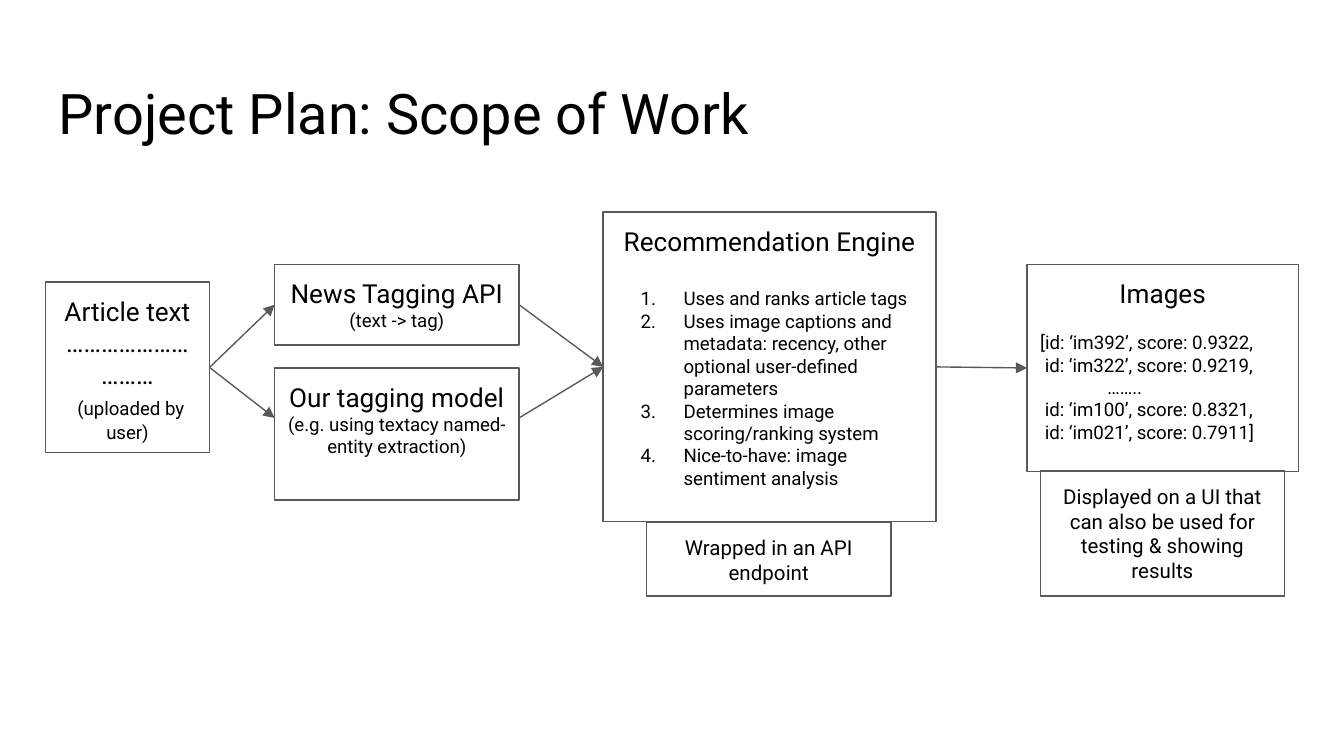
from lxml import etree
from pptx import Presentation
from pptx import util as u
from pptx.dml.color import RGBColor
from pptx.enum import shapes, text
from pptx.oxml import ns

FONT = "Roboto"
COLORS = {"text": "000000", "outline": "595959"}
LEFT_SITE, RIGHT_SITE = 1, 3
CENTER, LEFT = text.PP_ALIGN.CENTER, text.PP_ALIGN.LEFT


def color(name):
    return RGBColor.from_string(COLORS[name])


def prepare_frame(shape):
    frame = shape.text_frame
    frame.word_wrap = True
    frame.vertical_anchor = text.MSO_ANCHOR.TOP
    frame.margin_left = frame.margin_right = u.Cm(0.25)
    frame.margin_top = frame.margin_bottom = u.Cm(0.25)
    return frame


def add_runs(paragraph, runs):
    for words, size in runs:
        run = paragraph.add_run()
        run.text = words
        run.font.name = FONT
        run.font.size = u.Pt(size)
        run.font.color.rgb = color("text")


def add_paragraph(frame, runs, align=CENTER, before=0, numbered=False):
    first = frame.paragraphs[0]
    paragraph = frame.add_paragraph() if first.runs else first
    paragraph.alignment = align
    if before:
        paragraph.space_before = u.Pt(before)
    if numbered:
        number_paragraph(paragraph)
    add_runs(paragraph, runs)


def number_paragraph(paragraph):
    props = paragraph._p.get_or_add_pPr()
    props.set("marL", str(u.Cm(1.27)))
    props.set("indent", str(u.Cm(-0.81)))
    bullet_color = etree.SubElement(props, ns.qn("a:buClr"))
    etree.SubElement(bullet_color, ns.qn("a:srgbClr"), val=COLORS["text"])
    etree.SubElement(props, ns.qn("a:buFont"), typeface=FONT)
    etree.SubElement(props, ns.qn("a:buAutoNum"), type="arabicPeriod")


def add_title(slide, words):
    title = slide.shapes.add_textbox(u.Cm(0.86), u.Cm(1.24), u.Cm(23.68), u.Cm(1.6))
    add_paragraph(prepare_frame(title), [(words, 30)], LEFT)


def add_box(slide, bounds, *paragraphs):
    """Outlined box with centred paragraphs, each a list of (words, size) runs."""
    box = slide.shapes.add_shape(shapes.MSO_SHAPE.RECTANGLE, *map(u.Cm, bounds))
    box.shadow.inherit = False
    box.fill.background()
    box.line.color.rgb = color("outline")
    box.line.width = u.Pt(0.75)
    frame = prepare_frame(box)
    for runs in paragraphs:
        add_paragraph(frame, runs)
    return box


def add_lines(box, lines, before, numbered=False):
    """Left-aligned small lines, set apart from the heading above."""
    for index, words in enumerate(lines):
        add_paragraph(box.text_frame, [(words, 10)], LEFT,
                      0 if index else before, numbered)


def add_arrow(slide, source, target, source_y=None, target_y=None):
    """Arrow between facing sides, glued at their middles unless a height is given."""
    arrow = slide.shapes.add_connector(
        shapes.MSO_CONNECTOR.STRAIGHT,
        source.left + source.width, source_y or source.top + source.height // 2,
        target.left, target_y or target.top + target.height // 2)
    if source_y is None:
        arrow.begin_connect(source, RIGHT_SITE)
    if target_y is None:
        arrow.end_connect(target, LEFT_SITE)
    arrow.line.color.rgb = color("outline")
    arrow.line.width = u.Pt(0.75)
    etree.SubElement(arrow.line._get_or_add_ln(), ns.qn("a:tailEnd"), type="triangle")
    etree.SubElement(arrow._element.spPr, ns.qn("a:effectLst"))


def main():
    deck = Presentation()
    deck.slide_width, deck.slide_height = u.Cm(25.4), u.Cm(14.29)
    slide = deck.slides.add_slide(deck.slide_layouts[6])

    add_title(slide, "Project Plan: Scope of Work")
    article = add_box(slide, (0.86, 5.33, 3.1, 3.23),
                      [("Article text", 14)],
                      [("…………………………", 14)],
                      [(" ", 14), ("(uploaded by user)", 10)])
    tagging_api = add_box(slide, (5.19, 5, 4.62, 1.52),
                          [("News Tagging API ", 14), ("(text -> tag)", 10)])
    tagging_model = add_box(slide, (5.19, 6.96, 4.62, 2.49),
                            [("Our tagging model ", 14)],
                            [("(e.g. using textacy named-entity extraction)", 10)])

    engine = add_box(slide, (11.4, 4.01, 6.29, 5.85), [("Recommendation Engine", 14)])
    add_lines(engine, [
        "Uses and ranks article tags",
        "Uses image captions and metadata: recency, other optional user-defined parameters",
        "Determines image scoring/ranking system",
        "Nice-to-have: image sentiment analysis",
    ], before=16.4, numbered=True)

    images = add_box(slide, (19.41, 5, 5.13, 3.91), [("Images", 14)])
    add_lines(images, [
        "[id: ‘im392’, score: 0.9322,",
        " id: ‘im322’, score: 0.9219,",
        "\t……..",
        " id: ‘im100’, score: 0.8321,",
        " id: ‘im021’, score: 0.7911]",
    ], before=11.7)

    add_box(slide, (12.22, 9.87, 4.62, 1.4), [("Wrapped in an API endpoint", 11)])
    add_box(slide, (19.66, 8.9, 4.62, 2.37),
            [("Displayed on a UI that can also be used for testing & showing results", 11)])

    model_y = u.Cm(7.9)
    add_arrow(slide, article, tagging_api)
    add_arrow(slide, article, tagging_model, target_y=model_y)
    add_arrow(slide, tagging_api, engine)
    add_arrow(slide, tagging_model, engine, source_y=model_y)
    add_arrow(slide, engine, images)

    deck.save("out.pptx")


if __name__ == "__main__":
    main()
